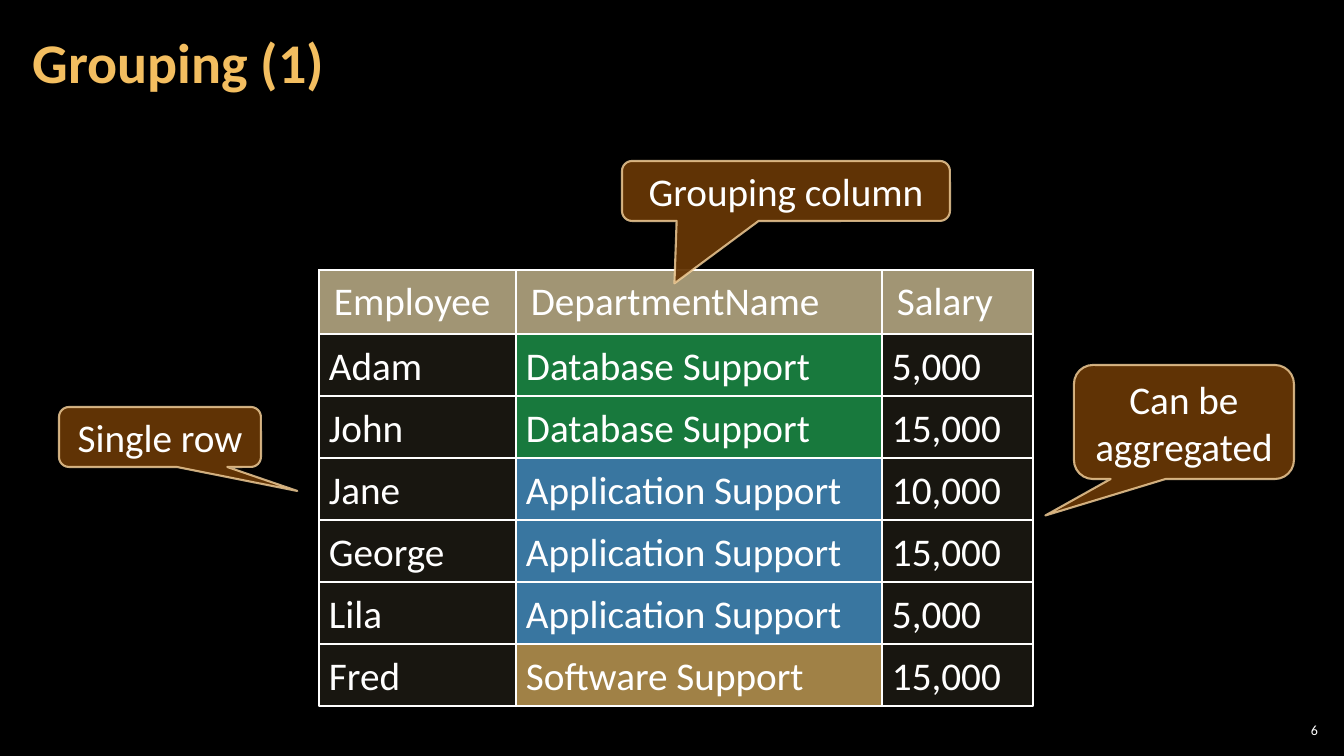
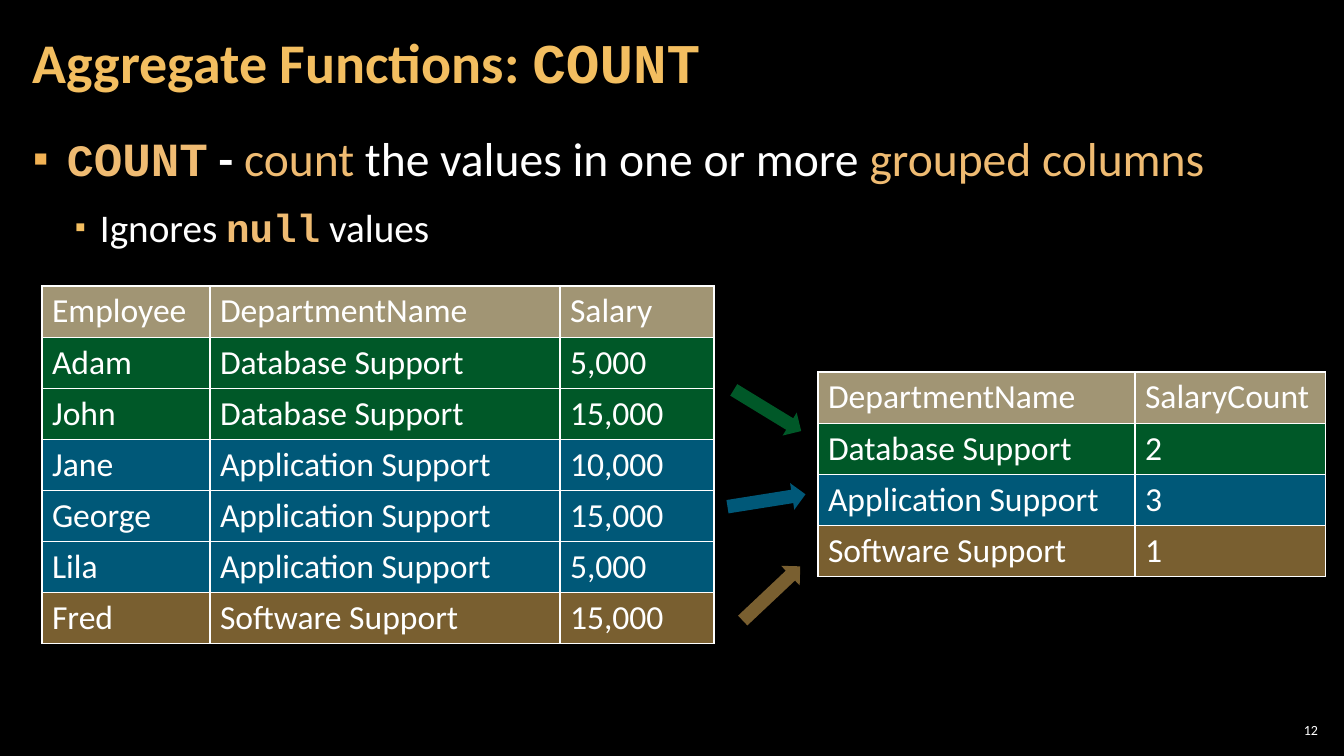
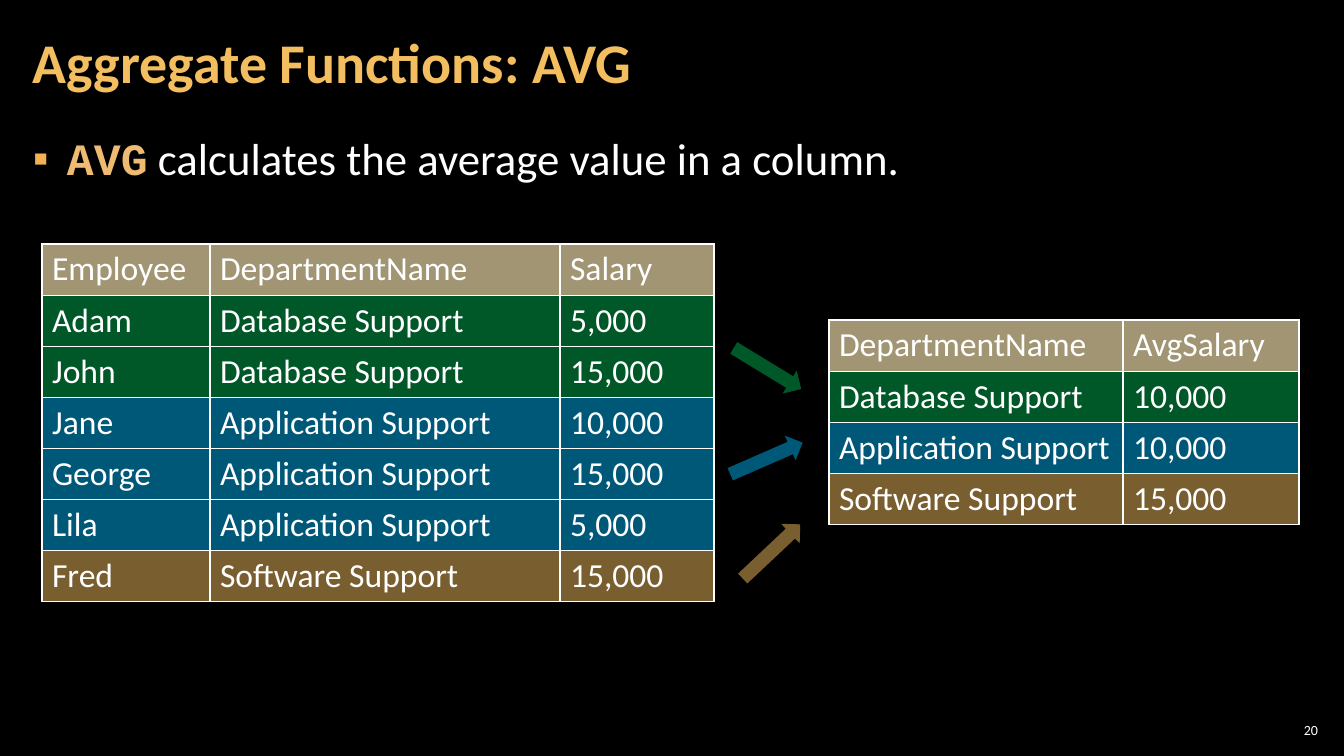
from dataclasses import dataclass
from itertools import groupby

from lxml import etree
from pptx import Presentation
from pptx.dml.color import RGBColor
from pptx.enum.shapes import MSO_SHAPE
from pptx.enum.text import MSO_ANCHOR, MSO_AUTO_SIZE, PP_ALIGN
from pptx.oxml.ns import qn
from pptx.util import Emu, Pt

LEFT, CENTER, RIGHT = PP_ALIGN.LEFT, PP_ALIGN.CENTER, PP_ALIGN.RIGHT
TOP, MIDDLE = MSO_ANCHOR.TOP, MSO_ANCHOR.MIDDLE
NO_AUTOFIT = MSO_AUTO_SIZE.NONE
RECTANGLE = MSO_SHAPE.RECTANGLE
CALLOUT = MSO_SHAPE.ROUNDED_RECTANGULAR_CALLOUT
ARROW = MSO_SHAPE.RIGHT_ARROW
TITLE_AND_BODY, TITLE_ONLY = 1, 5
EMU_PER_PIXEL = 914400 / 100.8


@dataclass(frozen=True)
class Theme:
    """Colours, fonts and type sizes shared by all slides."""
    background: str = "000000"
    text: str = "FFFFFF"
    title: str = "F3BE60"
    accent: str = "EFBB72"
    header: str = "A19574"
    cell: str = "7C7154"
    callout: str = "663606"
    callout_line: str = "F8D49E"
    green: str = "00B050"
    blue: str = "00B0F0"
    light_blue: str = "3BABFF"
    gold: str = "F3BE60"
    font: str = "Calibri"
    code_font: str = "Courier New"
    title_size: int = 40
    code_size: int = 32
    body_size: int = 34
    large_size: int = 28
    table_size: int = 24
    number_size: int = 10


THEME = Theme()
GROUPS = {"Database Support": THEME.green, "Application Support": THEME.blue,
          "Software Support": THEME.gold}
BANDS = {**GROUPS, "Application Support": THEME.light_blue}
# marL and indent in pixels, bullet colour, bullet size in percent
BULLET_LEVELS = ((34, -34, "F2B254", 100), (67, -25, "F3BE60", 80))
EMPLOYEES = (
    ("Employee", "DepartmentName", "Salary"),
    ("Adam", "Database Support", "5,000"),
    ("John", "Database Support", "15,000"),
    ("Jane", "Application Support", "10,000"),
    ("George", "Application Support", "15,000"),
    ("Lila", "Application Support", "5,000"),
    ("Fred", "Software Support", "15,000"),
)


def px(pixels):
    """Turn pixels into EMU."""
    return Emu(round(pixels * EMU_PER_PIXEL))


def place(shape, box):
    """Move and size a shape to a pixel box."""
    shape.left, shape.top, shape.width, shape.height = map(px, box)


def paint(fill, owner, color, opacity=100):
    """Set a solid fill; owner is the element that holds its XML."""
    fill.solid()
    fill.fore_color.rgb = RGBColor.from_string(color)
    if opacity < 100:
        color_element = owner.find(qn("a:solidFill")).find(qn("a:srgbClr"))
        etree.SubElement(color_element, qn("a:alpha"), val=str(opacity * 1000))


def add_run(paragraph, text, size, color=THEME.text, font=THEME.font, bold=False):
    """Append one formatted run."""
    run = paragraph.add_run()
    run.text = text
    run.font.name, run.font.size, run.font.bold = font, Pt(size), bold
    run.font.color.rgb = RGBColor.from_string(color)


def code_run(text, size):
    """Describe a highlighted run of code."""
    return text, size, THEME.accent, THEME.code_font, True


def set_frame(frame, anchor, horizontal, vertical):
    """Set wrapping, anchor and pixel insets of a text frame."""
    frame.word_wrap = True
    frame.auto_size = NO_AUTOFIT
    frame.vertical_anchor = anchor
    frame.margin_left = frame.margin_right = px(horizontal)
    frame.margin_top = frame.margin_bottom = px(vertical)


def add_slide(presentation, layout, title_runs, number):
    """Add a slide with its title and slide number."""
    slide = presentation.slides.add_slide(presentation.slide_layouts[layout])
    title = slide.shapes.title
    place(title, (21, 4, 1055, 122))
    set_frame(title.text_frame, MIDDLE, 12, 4)
    paragraph = title.text_frame.paragraphs[0]
    paragraph.alignment, paragraph.line_spacing = LEFT, 0.9
    for text, font in title_runs:
        add_run(paragraph, text, THEME.title_size, THEME.title, font, True)

    number_box = slide.shapes.add_textbox(*map(px, (1275, 719, 47, 21)))
    set_frame(number_box.text_frame, MIDDLE, 4, 4)
    paragraph = number_box.text_frame.paragraphs[0]
    paragraph.alignment = RIGHT
    add_run(paragraph, str(number), THEME.number_size)
    return slide


def set_bullet(paragraph, level):
    """Give a paragraph the square bullet of its level."""
    margin, indent, color, size = BULLET_LEVELS[level]
    paragraph.level = level
    paragraph.space_before = paragraph.space_after = Pt(6)
    properties = paragraph._p.get_or_add_pPr()
    properties.set("marL", str(px(margin)))
    properties.set("indent", str(px(indent)))
    bullet_color = etree.SubElement(properties, qn("a:buClr"))
    etree.SubElement(bullet_color, qn("a:srgbClr"), val=color)
    etree.SubElement(properties, qn("a:buSzPct"), val=str(size * 1000))
    etree.SubElement(properties, qn("a:buChar"), char="▪")


def fill_body(slide, top, items):
    """Write the bullet list; each item is a level and its runs."""
    body = slide.placeholders[1]
    place(body, (21, top, 1301, 614))
    frame = body.text_frame
    set_frame(frame, TOP, 12, 4)
    for index, (level, runs) in enumerate(items):
        paragraph = frame.add_paragraph() if index else frame.paragraphs[0]
        paragraph.alignment = LEFT
        set_bullet(paragraph, level)
        for run in runs:
            add_run(paragraph, *run)


def set_borders(cell):
    """Draw thin borders on all sides of a cell."""
    properties = cell._tc.get_or_add_tcPr()
    for side in "LRTB":
        line = etree.SubElement(properties, qn("a:ln" + side), w=str(Pt(1)))
        fill = etree.SubElement(line, qn("a:solidFill"))
        etree.SubElement(fill, qn("a:srgbClr"), val=THEME.text)


def add_table(slide, left, top, widths, row_height, rows, size):
    """Add a table whose rows take the colour of their department."""
    table = slide.shapes.add_table(
        len(rows), len(widths), px(left), px(top),
        px(sum(widths)), px(row_height * len(rows))).table
    table.first_row = table.horz_banding = False
    for column, width in zip(table.columns, widths):
        column.width = px(width)
    for table_row, row in zip(table.rows, rows):
        table_row.height = px(row_height)
        group = next((GROUPS[text] for text in row if text in GROUPS), None)
        for cell, text in zip(table_row.cells, row):
            set_borders(cell)
            paint(cell.fill, cell._tc.tcPr, group or THEME.header,
                  50 if group else 100)
            add_run(cell.text_frame.paragraphs[0], text, size)
    return table


def add_plain_shape(slide, kind, box, color, opacity):
    """Add a filled preset shape without shadow or outline."""
    shape = slide.shapes.add_shape(kind, *map(px, box))
    shape.shadow.inherit = False
    paint(shape.fill, shape._element.spPr, color, opacity)
    shape.line.fill.background()
    return shape


def write_label(shape, text, alignment):
    """Write one large line of text in the middle of a shape."""
    set_frame(shape.text_frame, MIDDLE, 10, 5)
    paragraph = shape.text_frame.paragraphs[0]
    paragraph.alignment = alignment
    add_run(paragraph, text, THEME.large_size)


def add_group_bands(slide, left, top, width, row_height, rows):
    """Add one coloured band behind the rows of each department."""
    for department, members in groupby(row[1] for row in rows):
        height = row_height * len(list(members))
        add_plain_shape(slide, RECTANGLE, (left, top, width, height),
                        BANDS[department], 70)
        top += height


def add_cell_grid(slide, left, top, widths, row_height, rows):
    """Add a grid of outlined, translucent cells."""
    for row_index, row in enumerate(rows):
        for column_index, (text, width) in enumerate(zip(row, widths)):
            box = (left + sum(widths[:column_index]),
                   top + row_index * row_height, width, row_height)
            cell = add_plain_shape(slide, RECTANGLE, box, THEME.cell, 20)
            cell.line.width = Pt(1)
            paint(cell.line.fill, cell._element.spPr, THEME.text)
            write_label(cell, text, LEFT)


def add_callout(slide, box, tip, text):
    """Add a rounded callout with its tip at relative offsets."""
    shape = add_plain_shape(slide, CALLOUT, box, THEME.callout, 95)
    shape.adjustments[0], shape.adjustments[1] = tip
    shape.line.width = Pt(1.5)
    paint(shape.line.fill, shape._element.spPr.find(qn("a:ln")),
          THEME.callout_line, 80)
    write_label(shape, text, CENTER)


def add_group_arrows(slide, table_top, blue_rotation):
    """Add one arrow per department beside the employee table."""
    for left, offset, rotation, color in (
            (728, 111, 31.4, THEME.green),
            (727, 201, blue_rotation, THEME.blue),
            (732, 294, 316.7, THEME.gold)):
        arrow = add_plain_shape(
            slide, ARROW, (left, table_top + offset, 79, 27), color, 50)
        arrow.rotation = rotation


def add_aggregate(slide, top, blue_rotation, result_position, result_widths, result):
    """Show the employee table, the arrows and the aggregated table."""
    add_table(slide, 42, top, (168, 350, 154), 51, EMPLOYEES, THEME.table_size)
    add_table(slide, *result_position, result_widths, 51, result, THEME.table_size)
    add_group_arrows(slide, top, blue_rotation)


def result_rows(heading, values):
    """Pair each department with its aggregated value."""
    return [("DepartmentName", heading), *zip(GROUPS, values)]


def build_grouping(presentation):
    """Build the slide that explains grouping."""
    slide = add_slide(presentation, TITLE_ONLY, [("Grouping (1)", THEME.font)], 6)
    left, grid_top, row_height = 319, 334, 62
    widths = (197, 366, 151)
    header, *rows = EMPLOYEES
    add_group_bands(slide, left + widths[0], grid_top, widths[1], row_height, rows)
    table = add_table(slide, left, 270, widths, 63, [header], THEME.large_size)
    for cell in table.rows[0].cells:
        cell.margin_left = cell.margin_right = px(15)
        cell.margin_top = cell.margin_bottom = px(8)
    add_cell_grid(slide, left, grid_top, widths, row_height, rows)
    for box, tip, text in (
            ((622, 161, 328, 60), (-0.34, 1.54), "Grouping column"),
            ((59, 407, 202, 60), (0.68, 0.9), "Single row"),
            ((1074, 365, 220, 114), (-0.63, 0.82), "Can be aggregated")):
        add_callout(slide, box, tip, text)


def build_count(presentation):
    """Build the slide about COUNT."""
    slide = add_slide(presentation, TITLE_AND_BODY, [
        ("Aggregate Functions: ", THEME.font), ("COUNT", THEME.code_font)], 12)
    size = THEME.body_size
    fill_body(slide, 125, [
        (0, [code_run("C", THEME.code_size), code_run("OUNT", size),
             (" - ", size, THEME.text, THEME.font, True),
             ("count", size, THEME.accent),
             (" the values in one or more ", size),
             ("grouped columns", size, THEME.accent)]),
        (1, [("Ignores ", THEME.large_size), code_run("null", THEME.large_size),
             (" values", THEME.large_size)]),
    ])
    add_aggregate(slide, 286, 351, (818, 372), (317, 191),
                  result_rows("SalaryCount", ("2", "3", "1")))


def build_average(presentation):
    """Build the slide about AVG."""
    slide = add_slide(presentation, TITLE_AND_BODY,
                      [("Aggregate Functions: AVG", THEME.font)], 20)
    fill_body(slide, 127, [
        (0, [code_run("AVG", THEME.code_size),
             (" calculates the average value in a column.", THEME.code_size)]),
    ])
    add_aggregate(slide, 244, 336.4, (829, 320), (294, 176),
                  result_rows("AvgSalary", ("10,000", "10,000", "15,000")))


def main():
    """Build and save the presentation."""
    presentation = Presentation()
    presentation.slide_width, presentation.slide_height = px(1344), px(756)
    background = presentation.slide_master.background.fill
    background.solid()
    background.fore_color.rgb = RGBColor.from_string(THEME.background)
    build_grouping(presentation)
    build_count(presentation)
    build_average(presentation)
    presentation.save("out.pptx")


main()
